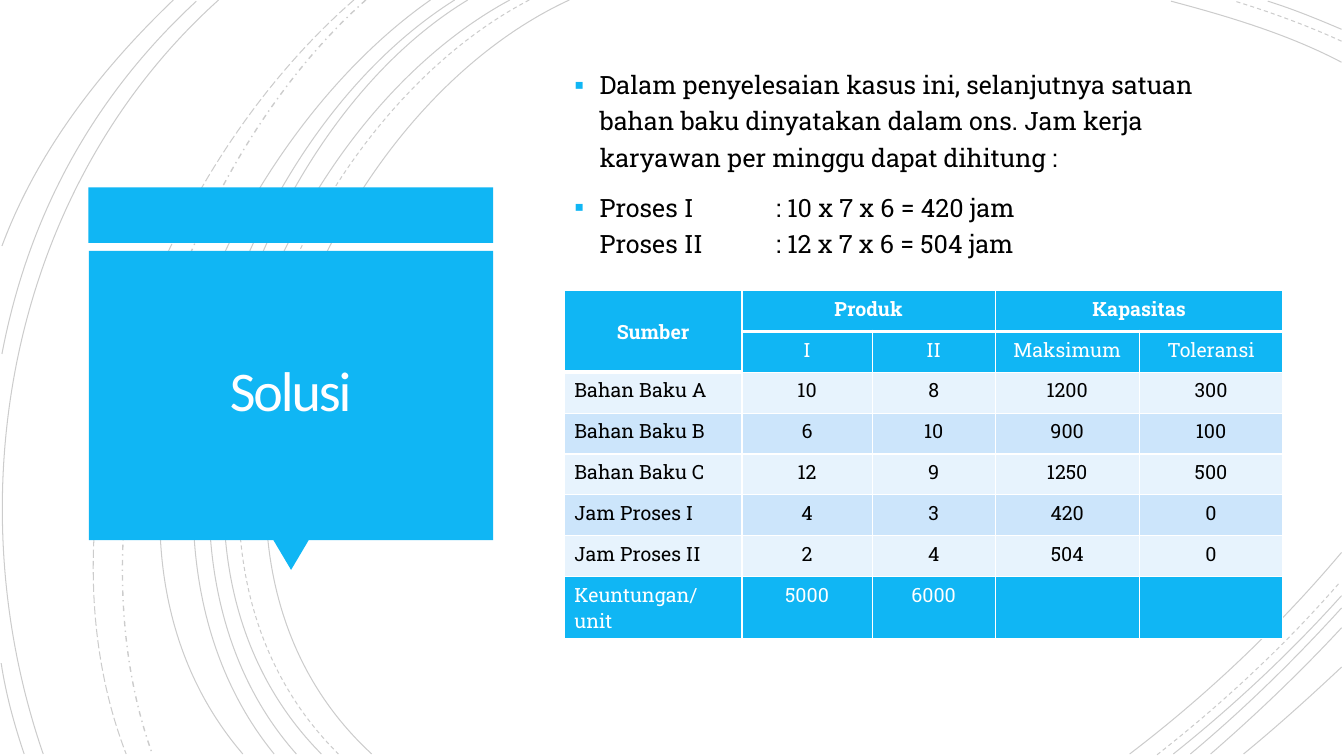
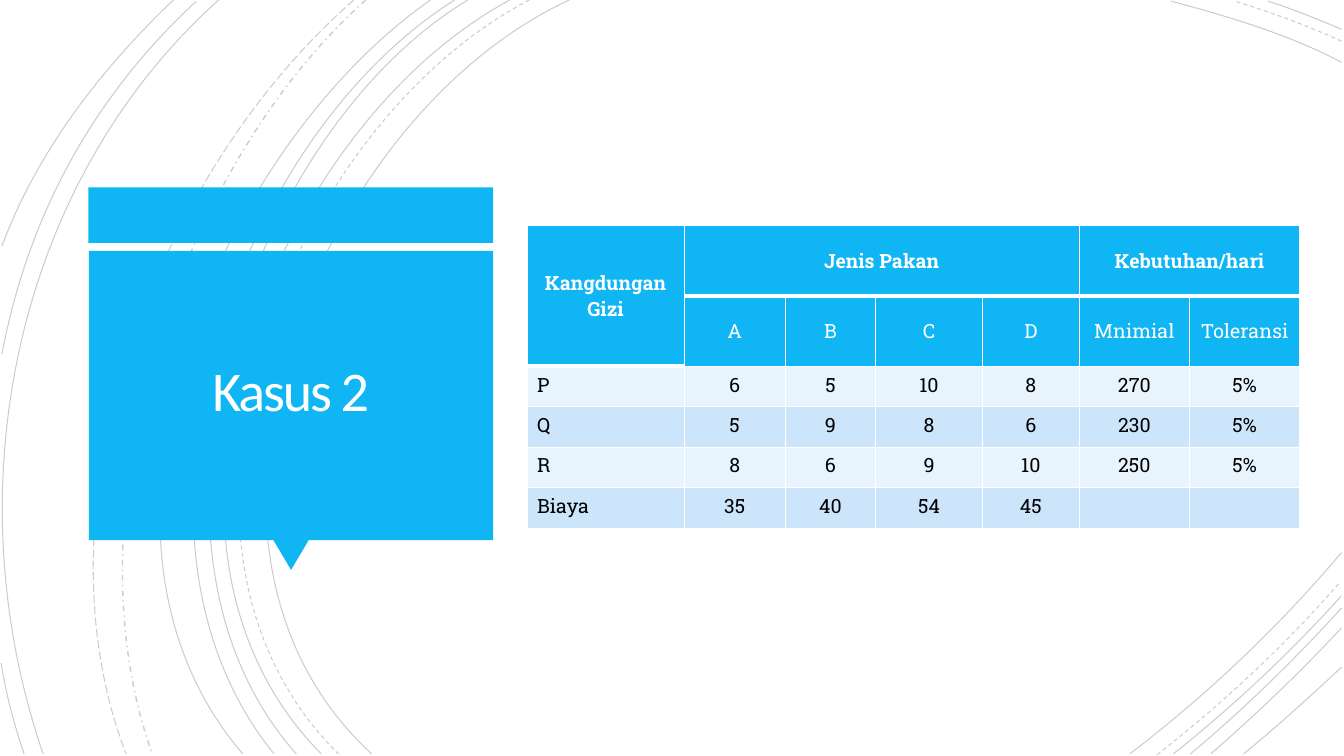
from dataclasses import dataclass

from lxml import etree
from pptx import Presentation
from pptx import util as u
from pptx.dml import color
from pptx.enum import dml, shapes, text
from pptx.oxml import ns

ACCENT, WHITE, BLACK = "10B6F4", "FFFFFF", "000000"
TITLE_COLOUR = "FFFEFF"
BANDS = ("E7F3FD", "CCE5FB")
TITLE_FONT, BODY_FONT = "Calibri", "Roboto Slab"
HEADER_ROWS = 2

SOLID, DASH = dml.MSO_LINE.SOLID, dml.MSO_LINE.DASH
DASH_DOT, LONG_DASH = dml.MSO_LINE.DASH_DOT, dml.MSO_LINE.LONG_DASH
MIDDLE, TOP = text.MSO_ANCHOR.MIDDLE, text.MSO_ANCHOR.TOP
CENTER, LEFT = text.PP_ALIGN.CENTER, text.PP_ALIGN.LEFT


@dataclass(frozen=True)
class Box:
    """A rectangle in centimetres."""
    left: float
    top: float
    width: float
    height: float

    def lengths(self) -> tuple:
        return tuple(u.Cm(n) for n in (self.left, self.top, self.width, self.height))


@dataclass(frozen=True)
class Curve:
    """A cubic curve: start, two controls and end, in centimetres."""
    points: tuple
    dash: int = SOLID
    weight: float = 0.75


@dataclass(frozen=True)
class Panel:
    box: Box
    preset: int = shapes.MSO_SHAPE.RECTANGLE
    rotation: float = 0


@dataclass(frozen=True)
class TableData:
    left: float
    top: float
    columns: tuple
    heights: tuple
    merges: tuple  # (first row, first column, last row, last column)
    cells: tuple
    header_anchor: int = MIDDLE
    accent_last_row: bool = False


CURVES = (
    # Long arcs on the left
    Curve(((14.35, 0), (8, 2.92), (3.63, 13.72), (9.37, 19))),
    Curve(((13.34, 0), (7.24, 3.18), (3.12, 13.64), (8.53, 19)), DASH),
    Curve(((12.85, 0), (6.86, 3.23), (2.79, 13.64), (8.1, 19))),
    Curve(((11.79, 0), (6.2, 3.38), (2.79, 13.74), (7.47, 19))),
    Curve(((11.46, 0), (5.87, 3.51), (2.46, 13.54), (6.91, 19))),
    Curve(((10.85, 0), (5.51, 3.73), (1.35, 13.44), (6.12, 19))),
    Curve(((9.22, 0), (4.47, 4.22), (1.65, 12.93), (3.84, 19)), DASH_DOT, 1),
    Curve(((8.92, 0), (3.99, 4.29), (0.74, 12.67), (3.18, 19)), LONG_DASH),
    Curve(((5.51, 0), (0.28, 4.7), (-1.17, 12.45), (1.09, 19))),
    Curve(((4.95, 0.03), (2.34, 2.44), (0.71, 5.44), (0.05, 8.92))),
    Curve(((0.03, 16.71), (0.15, 17.5), (0.36, 18.26), (0.61, 19))),
    Curve(((4.37, 0), (2.54, 1.75), (0.94, 3.81), (0.05, 6.2))),
    # Top right corner
    Curve(((33.81, 1.57), (32.46, 0.86), (30.94, 0.41), (29.51, 0.03))),
    Curve(((33.81, 1.04), (32.94, 0.64), (32, 0.3), (31.12, 0.03)), DASH),
    Curve(((33.81, 0.74), (33.2, 0.48), (32.59, 0.23), (31.95, 0.03))),
    # Bottom right corner
    Curve(((28.47, 19), (30.4, 17.53), (32.23, 15.8), (33.81, 13.92))),
    Curve(((29.16, 19.02), (30.81, 17.73), (32.39, 16.26), (33.78, 14.66)), DASH),
    Curve(((29.57, 19), (31.06, 17.81), (32.51, 16.46), (33.81, 15.01))),
    Curve(((30, 19), (31.34, 17.88), (32.61, 16.64), (33.81, 15.32))),
    Curve(((30.51, 19), (31.65, 18.01), (32.77, 16.94), (33.81, 15.82))),
    Curve(((31.34, 19), (32.18, 18.31), (32.99, 17.58), (33.81, 16.81))),
)

PANELS = (
    Panel(Box(2.23, 4.72, 10.2, 1.4)),
    Panel(Box(6.89, 13.61, 0.89, 0.75), shapes.MSO_SHAPE.ISOSCELES_TRIANGLE, 180),
    Panel(Box(2.24, 6.32, 10.19, 7.29)),
)
TITLE_BOX = Box(2.46, 6.53, 9.73, 6.83)
BODY_BOX = Box(14.22, 0.71, 17.45, 7.65)

SOLUTION_POINTS = (
    "Dalam penyelesaian kasus ini, selanjutnya satuan bahan baku dinyatakan "
    "dalam ons. Jam kerja karyawan per minggu dapat dihitung :",
    "Proses I\t: 10 x 7 x 6 = 420 jam\vProses II\t: 12 x 7 x 6 = 504 jam",
)

SOLUTION_TABLE = TableData(
    14.22, 7.32,
    columns=(4.48, 3.28, 3.1, 3.63, 3.62),
    heights=(1.03,) * 8,
    merges=((0, 0, 1, 0), (0, 1, 0, 2), (0, 3, 0, 4)),
    cells=(
        ("Sumber", "Produk", "", "Kapasitas", ""),
        ("", "I", "II", "Maksimum", "Toleransi"),
        ("Bahan Baku A", "10", "8", "1200", "300"),
        ("Bahan Baku B", "6", "10", "900", "100"),
        ("Bahan Baku C", "12", "9", "1250", "500"),
        ("Jam Proses I", "4", "3", "420", "0"),
        ("Jam Proses II", "2", "4", "504", "0"),
        ("Keuntungan/unit", "5000", "6000", "", ""),
    ),
    header_anchor=TOP,
    accent_last_row=True,
)

FEED_TABLE = TableData(
    13.28, 5.69,
    columns=(3.96, 2.55, 2.28, 2.69, 2.44, 2.78, 2.78),
    heights=(1.77,) * 2 + (1.02,) * 4,
    merges=((0, 0, 1, 0), (0, 1, 0, 4), (0, 5, 0, 6)),
    cells=(
        ("Kangdungan Gizi", "Jenis Pakan", "", "", "", "Kebutuhan/hari", ""),
        ("", "A", "B", "C", "D", "Mnimial", "Toleransi"),
        ("P", "6", "5", "10", "8", "270", "5%"),
        ("Q", "5", "9", "8", "6", "230", "5%"),
        ("R", "8", "6", "9", "10", "250", "5%"),
        ("Biaya", "35", "40", "54", "45", "", ""),
    ),
)


def rgb(value: str) -> color.RGBColor:
    return color.RGBColor.from_string(value)


def add_xml(parent, tag: str, **attributes: str):
    return etree.SubElement(parent, ns.qn(tag), attributes)


def style_runs(paragraph, font: str, size: float, colour: str, bold: bool = False) -> None:
    for run in paragraph.runs:
        run.font.name, run.font.size, run.font.bold = font, u.Pt(size), bold
        run.font.color.rgb = rgb(colour)


def place(shape, box: Box) -> None:
    shape.left, shape.top, shape.width, shape.height = box.lengths()


# Shared background
def draw_curve(slide, curve: Curve):
    start, *others = [(u.Cm(x), u.Cm(y)) for x, y in curve.points]
    builder = slide.shapes.build_freeform(*start)
    builder.add_line_segments(others, close=False)
    shape = builder.convert_to_shape()
    # Join the three straight segments into one cubic curve
    outline = shape.element.find(".//" + ns.qn("a:path"))
    cubic = add_xml(outline, "a:cubicBezTo")
    for segment in outline.findall(ns.qn("a:lnTo")):
        cubic.append(segment[0])
        outline.remove(segment)
    shape.shadow.inherit = False
    shape.fill.background()
    shape.line.color.rgb = rgb(BLACK)
    shape.line.width = u.Pt(curve.weight)
    shape.line.dash_style = curve.dash
    add_xml(shape.element.find(".//" + ns.qn("a:srgbClr")), "a:alpha", val="20000")
    return shape


def draw_panel(slide, panel: Panel):
    shape = slide.shapes.add_shape(panel.preset, *panel.box.lengths())
    shape.shadow.inherit = False
    shape.rotation = panel.rotation
    shape.fill.solid()
    shape.fill.fore_color.rgb = rgb(ACCENT)
    shape.line.fill.background()
    return shape


def decorate_master(presentation, slide) -> None:
    """Draw the background on a slide, then move it to the master."""
    drawn = [draw_curve(slide, curve) for curve in CURVES]
    drawn += [draw_panel(slide, panel) for panel in PANELS]
    tree = presentation.slide_master.shapes.element
    for number, shape in enumerate(drawn, start=100):
        shape.element.find(".//" + ns.qn("p:cNvPr")).set("id", str(number))
        tree.append(shape.element)


# Titles and lists
def set_title(slide, wording: str) -> None:
    title = slide.shapes.title
    place(title, TITLE_BOX)
    frame = title.text_frame
    frame.text = wording
    frame.word_wrap, frame.auto_size = True, text.MSO_AUTO_SIZE.NONE
    frame.vertical_anchor = MIDDLE
    frame.margin_left = frame.margin_right = u.Cm(0.64)
    frame.margin_top = frame.margin_bottom = u.Cm(0.64)
    paragraph = frame.paragraphs[0]
    paragraph.alignment, paragraph.line_spacing = CENTER, 0.85
    style_runs(paragraph, TITLE_FONT, 40, TITLE_COLOUR)
    for properties in title.element.iter(ns.qn("a:rPr")):
        properties.set("spc", "-150")


def set_list(slide, points: tuple) -> None:
    body = slide.placeholders[1]
    place(body, BODY_BOX)
    frame = body.text_frame
    frame.text = "\n".join(points)
    frame.word_wrap, frame.auto_size = True, text.MSO_AUTO_SIZE.NONE
    frame.vertical_anchor = MIDDLE
    frame.margin_bottom = u.Cm(1.08)
    for paragraph in frame.paragraphs:
        paragraph.alignment = LEFT
        paragraph.line_spacing, paragraph.space_before = 1.2, u.Pt(10)
        style_runs(paragraph, BODY_FONT, 18, BLACK)
    for properties in body.element.iter(ns.qn("a:pPr")):
        properties.set("marL", str(u.Cm(0.64)))
        properties.set("indent", str(u.Cm(-0.64)))
        properties.set("defTabSz", str(u.Cm(2.54)))
        add_xml(add_xml(properties, "a:buClr"), "a:srgbClr", val=ACCENT)
        add_xml(properties, "a:buSzPct", val="110000")
        add_xml(properties, "a:buChar", char="▪")


# Tables
def line_below(row: int, column: int) -> int:
    return 3 if row == 0 or (row, column) == (1, 0) else 1


def set_borders(properties, row: int, column: int) -> None:
    widths = {"a:lnL": 1, "a:lnR": 1, "a:lnT": line_below(row - 1, column),
              "a:lnB": line_below(row, column)}
    for position, (tag, width) in enumerate(widths.items()):
        line = add_xml(properties, tag, w=str(u.Pt(width)))
        add_xml(add_xml(line, "a:solidFill"), "a:srgbClr", val=WHITE)
        properties.insert(position, line)


def draw_table(slide, data: TableData) -> None:
    box = Box(data.left, data.top, sum(data.columns), sum(data.heights))
    frame = slide.shapes.add_table(len(data.heights), len(data.columns), *box.lengths())
    table = frame.table
    for column, width in zip(table.columns, data.columns):
        column.width = u.Cm(width)
    for row, height in zip(table.rows, data.heights):
        row.height = u.Cm(height)
    for top, left, bottom, right in data.merges:
        table.cell(top, left).merge(table.cell(bottom, right))

    last_row = len(data.cells) - 1
    for row, wordings in enumerate(data.cells):
        header = row < HEADER_ROWS
        accent = header or (data.accent_last_row and row == last_row)
        for column, wording in enumerate(wordings):
            cell = table.cell(row, column)
            cell.fill.solid()
            cell.fill.fore_color.rgb = rgb(ACCENT if accent else BANDS[row % 2])
            cell.vertical_anchor = TOP
            if header:
                cell.vertical_anchor = data.header_anchor if column else MIDDLE
            if not wording:
                continue
            cell.text_frame.text = wording
            paragraph = cell.text_frame.paragraphs[0]
            paragraph.alignment = CENTER if header or column else LEFT
            style_runs(paragraph, BODY_FONT, 14, WHITE if accent else BLACK, row == 0)
    for index, properties in enumerate(frame.element.iter(ns.qn("a:tcPr"))):
        set_borders(properties, *divmod(index, len(data.columns)))


def main() -> None:
    presentation = Presentation()
    presentation.slide_width, presentation.slide_height = u.Cm(33.87), u.Cm(19.05)
    layouts = presentation.slide_layouts

    solution = presentation.slides.add_slide(layouts.get_by_name("Title and Content"))
    decorate_master(presentation, solution)
    set_title(solution, "Solusi")
    set_list(solution, SOLUTION_POINTS)
    draw_table(solution, SOLUTION_TABLE)

    feed_case = presentation.slides.add_slide(layouts.get_by_name("Title Only"))
    set_title(feed_case, "Kasus 2")
    draw_table(feed_case, FEED_TABLE)

    presentation.save("out.pptx")


if __name__ == "__main__":
    main()
